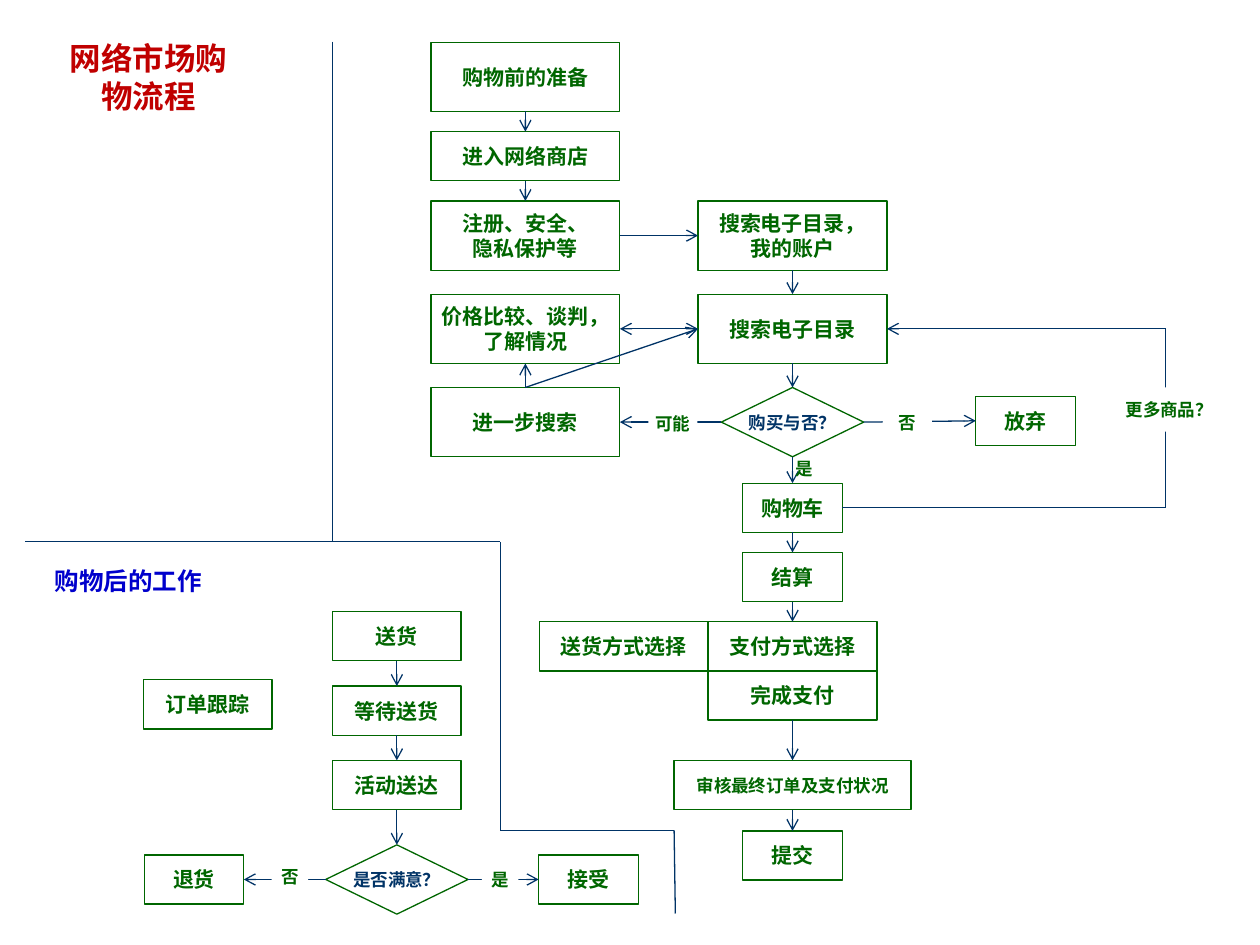
from itertools import pairwise

from lxml.etree import SubElement
from pptx import Presentation
from pptx.dml.color import RGBColor
from pptx.enum.shapes import MSO_CONNECTOR as Conn, MSO_SHAPE as Shape
from pptx.enum.text import MSO_ANCHOR as Anchor, MSO_AUTO_SIZE as AutoSize, PP_ALIGN as Align
from pptx.oxml.ns import qn
from pptx.util import Inches, Pt

GREEN, NAVY, RED, BLUE, WHITE = "006600", "003366", "C00000", "0000CC", "FFFFFF"
FONT = "Times New Roman"
TOP, LEFT, BOTTOM, RIGHT = range(4)  # connection sites

# Column centres, in inches
BACK, AFTER, PREP, MAIN, LOOP = 1.65, 3.15, 4.17, 6.29, 9.25
# Row centres: shopping runs down the slide, delivery at an equal pitch
ROWS = [0.61, 1.24, 1.87, 2.61, 3.35, 4.03, 4.58, 5.13, 5.52, 6.23, 6.79]
DELIVERY = [5.05 + 0.59 * i for i in range(3)]
VERDICT = 6.98
# Box sizes: width, height
BIG, STEP, SMALL = (1.5, 0.55), (1.5, 0.39), (0.79, 0.39)
PAY, SEND, REVIEW, CHOICE = (1.34, 0.39), (1.02, 0.39), (1.88, 0.39), (1.13, 0.55)

# Name: text, centre x, centre y, size
BOXES = {
    "prepare": ("购物前的准备", PREP, ROWS[0], BIG),
    "enter": ("进入网络商店", PREP, ROWS[1], STEP),
    "register": ("注册、安全、\n隐私保护等", PREP, ROWS[2], BIG),
    "account": ("搜索电子目录，\n我的账户", MAIN, ROWS[2], BIG),
    "catalog": ("搜索电子目录", MAIN, ROWS[3], BIG),
    "compare": ("价格比较、谈判，\n了解情况", PREP, ROWS[3], BIG),
    "search": ("进一步搜索", PREP, ROWS[4], BIG),
    "buy": ("购买与否？", MAIN, ROWS[4], CHOICE),
    "abandon": ("放弃", 8.14, ROWS[4] - 0.01, SMALL),
    "cart": ("购物车", MAIN, ROWS[5], SMALL),
    "checkout": ("结算", MAIN, ROWS[6], SMALL),
    "payment": ("支付方式选择", MAIN, ROWS[7], PAY),
    "paid": ("完成支付", MAIN, ROWS[8], PAY),
    "shipping": ("送货方式选择", MAIN - PAY[0], ROWS[7], PAY),
    "review": ("审核最终订单及支付状况", MAIN, ROWS[9], REVIEW),
    "submit": ("提交", MAIN, ROWS[10], SMALL),
    "send": ("送货", AFTER, DELIVERY[0], SEND),
    "wait": ("等待送货", AFTER, DELIVERY[1], SEND),
    "arrive": ("活动送达", AFTER, DELIVERY[2], SEND),
    "track": ("订单跟踪", BACK, 5.59, SEND),
    "happy": ("是否满意？", AFTER, VERDICT, CHOICE),
    "accept": ("接受", 4.67, VERDICT, SMALL),
    "return": ("退货", 1.54, VERDICT, SMALL),
}

# Vertical chains, each joined from bottom to top
CHAINS = [
    ("prepare", "enter", "register"),
    ("account", "catalog", "buy", "cart", "checkout", "payment"),
    ("paid", "review", "submit"),
    ("send", "wait", "arrive", "happy"),
]
# Other arrows: box, site, box, site
LINKS = [
    ("register", RIGHT, "account", LEFT),
    ("search", TOP, "compare", BOTTOM),
    ("search", TOP, "catalog", LEFT),
    ("buy", LEFT, "search", RIGHT),
    ("buy", RIGHT, "abandon", LEFT),
    ("happy", LEFT, "return", RIGHT),
    ("happy", RIGHT, "accept", LEFT),
]
# Answers on the arrows: text, centre x, centre y, width, fill
LABELS = [
    ("可能", 5.34, 3.36, 0.39, WHITE),
    ("否", 7.2, 3.35, 0.39, WHITE),
    ("是", 6.38, 3.72, 0.39, None),
    ("更多商品？", 9.28, 3.25, 0.87, WHITE),
    ("否", 2.3, 6.96, 0.29, WHITE),
    ("是", 3.97, 6.98, 0.29, WHITE),
]
DIVIDERS = [
    [(2.64, 0.33), (2.64, 4.3)],
    [(0.2, 4.3), (3.97, 4.3), (3.97, 6.59), (5.35, 6.59), (5.36, 7.25)],
]


def color(value):
    return RGBColor.from_string(value)


def place(x, y, size):
    """Left, top, width and height of a box centred on x, y."""
    w, h = size
    return [Inches(v) for v in (x - w / 2, y - h / 2, w, h)]


def write(sp, text, size, ink):
    tf = sp.text_frame
    tf.auto_size = AutoSize.NONE
    tf.word_wrap = False
    tf.vertical_anchor = Anchor.MIDDLE
    tf.text = text
    for p in tf.paragraphs:
        p.alignment = Align.CENTER
        p.font.name, p.font.size, p.font.bold = FONT, Pt(size), True
        p.font.color.rgb = color(ink)


def add_box(s, text, x, y, size):
    is_choice = size == CHOICE
    kind = Shape.DIAMOND if is_choice else Shape.RECTANGLE
    sp = s.shapes.add_shape(kind, *place(x, y, size))
    sp.shadow.inherit = False
    sp.fill.background()
    sp.line.color.rgb = color(GREEN)
    sp.line.width = Pt(0.75)
    write(sp, text, 10 if is_choice or size == REVIEW else 12, NAVY if is_choice else GREEN)
    return sp


def add_label(s, text, x, y, width, fill=None, size=10, ink=GREEN):
    sp = s.shapes.add_textbox(*place(x, y, (width, 0.35)))
    if fill:
        sp.fill.solid()
        sp.fill.fore_color.rgb = color(fill)
    write(sp, text, size, ink)


def add_line(s, start=(0, 0), end=(0, 0), ends=()):
    points = [Inches(v) for v in (*start, *end)]
    cx = s.shapes.add_connector(Conn.STRAIGHT, *points)
    cx.line.color.rgb = color(NAVY)
    cx.line.width = Pt(0.75)
    ln = cx.line._get_or_add_ln()
    for end_name in ends:
        SubElement(ln, qn(f"a:{end_name}"), type="arrow")
    SubElement(cx._element.spPr, qn("a:effectLst"))
    return cx


def join(s, a, a_site, b, b_site, ends=("tailEnd",)):
    cx = add_line(s, ends=ends)
    cx.begin_connect(a, a_site)
    cx.end_connect(b, b_site)


def main():
    prs = Presentation()
    prs.slide_width, prs.slide_height = Inches(10), Inches(7.5)
    s = prs.slides.add_slide(prs.slide_layouts[5])

    # Headings
    title = s.shapes.title
    title.left, title.top, title.width, title.height = place(1.18, 0.61, (1.5, 0.35))
    write(title, "网络市场购物流程", 18, RED)
    add_label(s, "购物后的工作", 1.02, 4.61, 1.5, size=14, ink=BLUE)

    # Steps and the arrows between them
    boxes = {name: add_box(s, *box) for name, box in BOXES.items()}
    for chain in CHAINS:
        for a, b in pairwise(chain):
            join(s, boxes[a], BOTTOM, boxes[b], TOP)
    for a, a_site, b, b_site in LINKS:
        join(s, boxes[a], a_site, boxes[b], b_site)
    join(s, boxes["catalog"], LEFT, boxes["compare"], RIGHT, ("headEnd", "tailEnd"))

    # Loop from the cart back to the catalogue
    add_line(s, (MAIN + SMALL[0] / 2, ROWS[5]), (LOOP, ROWS[5]))
    add_line(s, (LOOP, ROWS[5]), (LOOP, ROWS[3]))
    add_line(s, (LOOP, ROWS[3]), (MAIN + BIG[0] / 2, ROWS[3]), ("tailEnd",))

    # Answers, then the lines that part the areas
    for label in LABELS:
        add_label(s, *label)
    for points in DIVIDERS:
        for start, end in pairwise(points):
            add_line(s, start, end)

    prs.save("out.pptx")


if __name__ == "__main__":
    main()
